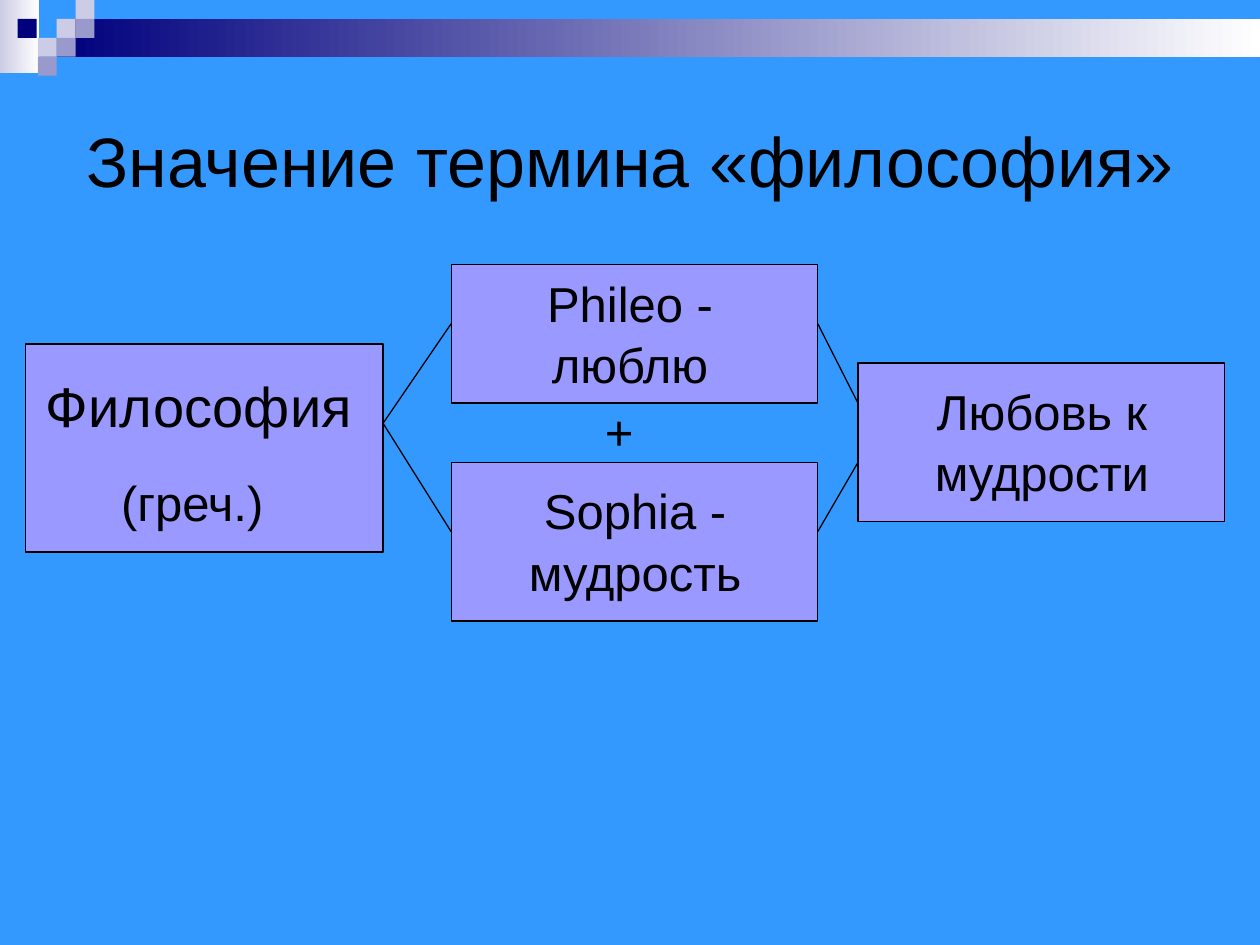
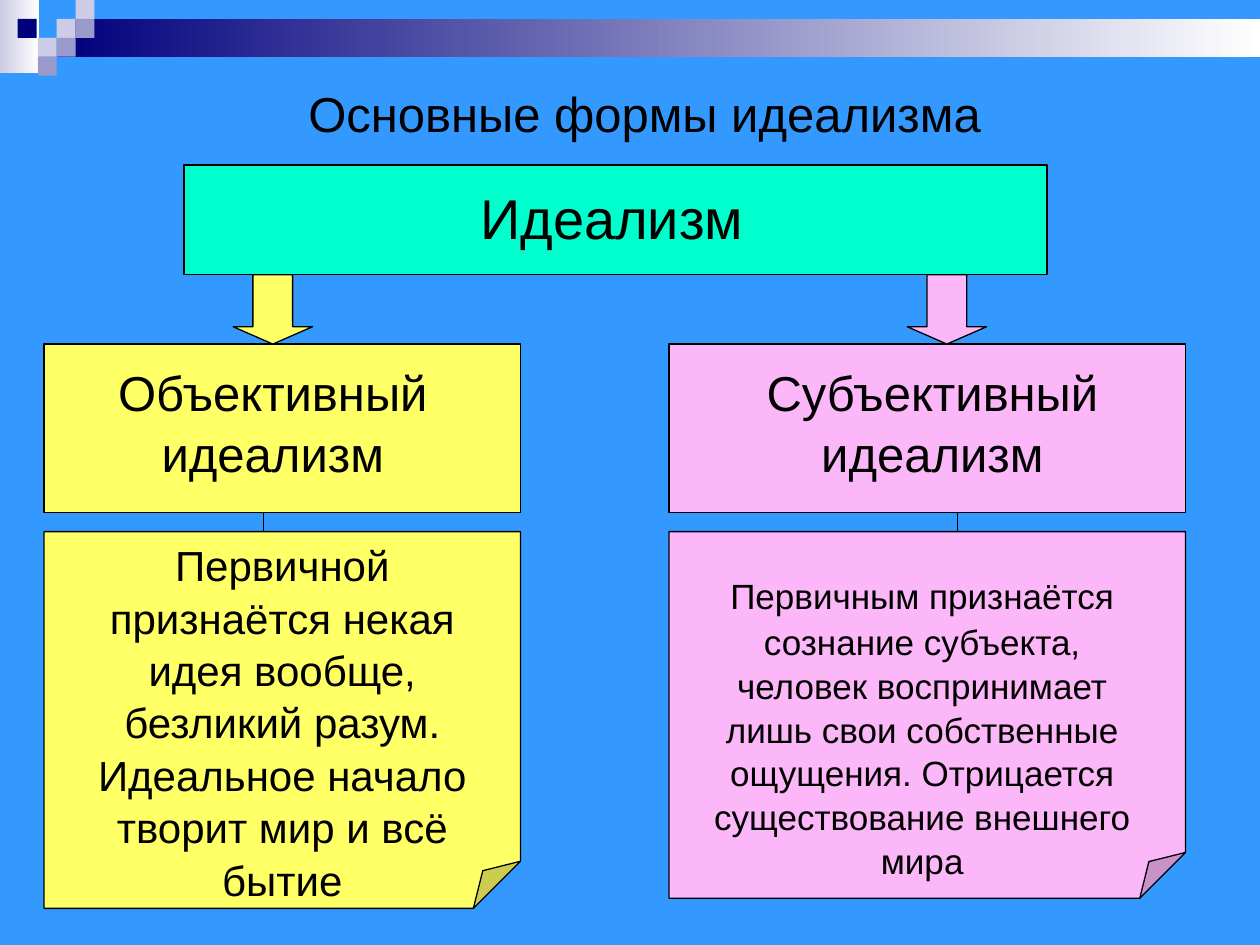
from lxml import etree
from pptx import Presentation
from pptx.dml.color import RGBColor
from pptx.enum.shapes import MSO_CONNECTOR, MSO_SHAPE
from pptx.enum.text import MSO_ANCHOR, MSO_AUTO_SIZE, PP_ALIGN
from pptx.oxml.ns import qn
from pptx.util import Pt

RECT, FOLDED, DOWN = MSO_SHAPE.RECTANGLE, MSO_SHAPE.FOLDED_CORNER, MSO_SHAPE.DOWN_ARROW
STRAIGHT = MSO_CONNECTOR.STRAIGHT
TOP, MIDDLE = MSO_ANCHOR.TOP, MSO_ANCHOR.MIDDLE
CENTER = PP_ALIGN.CENTER
FIXED = MSO_AUTO_SIZE.NONE

FONT = "Arial"
BLACK, WHITE, SKY = "000000", "FFFFFF", "3399FF"
NAVY, PALE, MAUVE = "00007D", "CCCCE6", "9999CC"
VIOLET, MINT, YELLOW, PINK = "9999FF", "00FFCC", "FFFF66", "FBB7F8"
LINE_WIDTH = 0.75
TITLE_ONLY = 5


def rgb(value):
    return RGBColor.from_string(value)


def points(*values):
    return [Pt(value) for value in values]


# Basic parts
def write(frame, *paragraphs, anchor=TOP, space_before=0, line_spacing=1.04):
    """Each paragraph is a list of (text, size) runs."""
    frame.word_wrap = True
    frame.auto_size = FIXED
    frame.vertical_anchor = anchor
    for index, runs in enumerate(paragraphs):
        paragraph = frame.add_paragraph() if index else frame.paragraphs[0]
        paragraph.alignment = CENTER
        paragraph.line_spacing = line_spacing
        paragraph.space_before = Pt(space_before if index else 0)
        for text, size in runs:
            run = paragraph.add_run()
            run.text = text
            run.font.name = FONT
            run.font.size = Pt(size)
            run.font.color.rgb = rgb(BLACK)


def add_label(slide, box, *paragraphs, **text_format):
    label = slide.shapes.add_textbox(*points(*box))
    write(label.text_frame, *paragraphs, **text_format)


def add_block(slide, box, fill, kind=RECT, outlined=True):
    """A pair of colours as fill gives a left-to-right gradient."""
    block = slide.shapes.add_shape(kind, *points(*box))
    block.shadow.inherit = False
    if isinstance(fill, tuple):
        block.fill.gradient()
        block.fill.gradient_angle = 0
        for stop, color, position in zip(block.fill.gradient_stops, fill, (0, 1)):
            stop.color.rgb = rgb(color)
            stop.position = position
    else:
        block.fill.solid()
        block.fill.fore_color.rgb = rgb(fill)
    if outlined:
        block.line.color.rgb = rgb(BLACK)
        block.line.width = Pt(LINE_WIDTH)
    else:
        block.line.fill.background()
    return block


def add_note(slide, box, fill):
    """A sheet with a small fold; its adjustment is only reachable in XML."""
    note = add_block(slide, box, fill, FOLDED)
    guides = note.element.spPr.find(qn("a:prstGeom")).find(qn("a:avLst"))
    etree.SubElement(guides, qn("a:gd"), name="adj", fmla="val 12500")


def add_line(slide, start, end):
    line = slide.shapes.add_connector(STRAIGHT, *points(*start, *end))
    line.line.color.rgb = rgb(BLACK)
    line.line.width = Pt(LINE_WIDTH)
    etree.SubElement(line.element.spPr, qn("a:effectLst"))


def add_title(slide, box, text, size):
    title = slide.shapes.title
    title.left, title.top, title.width, title.height = points(*box)
    write(title.text_frame, [(text, size)], anchor=MIDDLE)


# Shared background: gradient bands and a checker of small squares
def decorate_master(prs, first_slide):
    master = prs.slide_master
    master.background.fill.solid()
    master.background.fill.fore_color.rgb = rgb(SKY)
    cell = 10.8
    blocks = [((0, 0, 22.3, 41.8), (PALE, WHITE)),
              ((32.4, cell, 687.6, 21.6), (NAVY, WHITE)),
              ((10.1, cell, cell, cell), NAVY)]
    checker = [(3, 1, PALE), (4, 0, PALE), (4, 1, MAUVE),
               (2, 2, PALE), (3, 2, MAUVE), (2, 3, MAUVE)]
    blocks += [((column * cell, row * cell, cell, cell), color)
               for column, row, color in checker]
    # Move the pieces to the master, behind its placeholders
    for index, (box, fill) in enumerate(blocks):
        piece = add_block(first_slide, box, fill, outlined=False).element
        piece.nvSpPr.cNvPr.set("id", str(100 + index))
        master.shapes.element.insert(2 + index, piece)


# Slide 1: the word, its two roots, and the meaning
def draw_etymology(slide, left, top):
    def card(x, y, width, height, label_box, *paragraphs):
        add_block(slide, (left + x, top + y, width, height), VIOLET)
        dx, dy, label_width, label_height = label_box
        add_label(slide, (left + x + dx, top + y + dy, label_width, label_height),
                  *paragraphs, space_before=17.5)

    word_width, root_x, root_width, meaning_x = 204.5, 243.4, 209.5, 475.9
    root_right = root_x + root_width
    sophia_y, meaning_y = 113, 56.2
    card(0, 45.4, word_width, 118.8, (0, 10.8, 198.7, 97.2),
         [("Философия", 32)], [("(греч.) ", 28)])
    card(root_x, 0, root_width, 79.2, (11.5, 0, 181.4, 74.9),
         [("Phileo - люблю", 28)])
    card(root_x, sophia_y, root_width, 90.7, (11.5, 5.8, 187.2, 74.9),
         [("Sophia - мудрость", 28)])
    card(meaning_x, meaning_y, root_width, 90.7, (11.5, 5.8, 187.2, 74.9),
         [("Любовь к мудрости", 28)])
    add_label(slide, (left + 283, top + 73.4, 113, 41), [("+", 28)])

    # Lines through each root
    for root_y, meaning_end in ((33.8, 79.2), (152.6, 113)):
        add_line(slide, (left + word_width, top + 90.7), (left + root_x, top + root_y))
        add_line(slide, (left + root_right, top + root_y),
                 (left + meaning_x, top + meaning_end))


# Slide 2: one form of idealism, from arrow down to folded note
def draw_branch(slide, box, fill, name, note, *, name_inset, note_inset,
                arrow_x, stem_x):
    left, top, width, height = box
    card_top, card_height, note_top = top + 39.6, 96.5, top + 146.8

    add_block(slide, (left, card_top, width, card_height), fill)
    dx, label_width = name_inset
    add_label(slide, (left + dx, card_top + 5.7, label_width, 74.9), [(name, 28)])

    add_note(slide, (left, note_top, width, top + height - note_top), fill)
    dx, dy, label_width, label_height = note_inset
    add_label(slide, (left + dx, note_top + dy, label_width, label_height), note)

    arrow = add_block(slide, (left + arrow_x, top, 45.4, 39.6), fill, DOWN)
    arrow.adjustments[0], arrow.adjustments[1] = 0.5, 0.25
    add_line(slide, (left + stem_x, card_top + card_height), (left + stem_x, note_top))


def draw_idealism(slide, left, top):
    add_block(slide, (left + 79.9, top, 493.2, 62.6), MINT)
    add_label(slide, (left + 102.2, top + 5.8, 453.6, 46.1), [("Идеализм ", 32)])
    branch_top = top + 62.7
    draw_branch(
        slide, (left, branch_top, 272.2, 362.1), YELLOW, "Объективный идеализм",
        [("Первичной признаётся некая идея вообще, безликий разум. "
          "Идеальное начало творит мир и всё бытие", 24)],
        name_inset=(11.5, 238.3), note_inset=(5.8, 0, 260.6, 208.8),
        arrow_x=108, stem_x=125.3)
    draw_branch(
        slide, (left + 357.1, branch_top, 295.2, 356.3), PINK, "Субъективный идеализм",
        [("Первичным признаётся", 20), (" ", 28),
         ("сознание субъекта, человек воспринимает лишь свои собственные "
          "ощущения. Отрицается существование внешнего мира", 20)],
        name_inset=(5.8, 289.4), note_inset=(11.5, 11.6, 266.4, 185),
        arrow_x=136.1, stem_x=164.9)


def main():
    prs = Presentation()
    prs.slide_width, prs.slide_height = points(720, 540)
    layout = prs.slide_layouts[TITLE_ONLY]

    term = prs.slides.add_slide(layout)
    decorate_master(prs, term)
    add_title(term, (36, 36, 648, 108), "Значение термина «философия»", 40)
    draw_etymology(term, 14.4, 151.2)

    forms = prs.slides.add_slide(layout)
    add_title(forms, (110.2, 43.2, 516.2, 41), "Основные формы идеализма", 28)
    draw_idealism(forms, 25.2, 94.3)

    prs.save("out.pptx")


if __name__ == "__main__":
    main()
